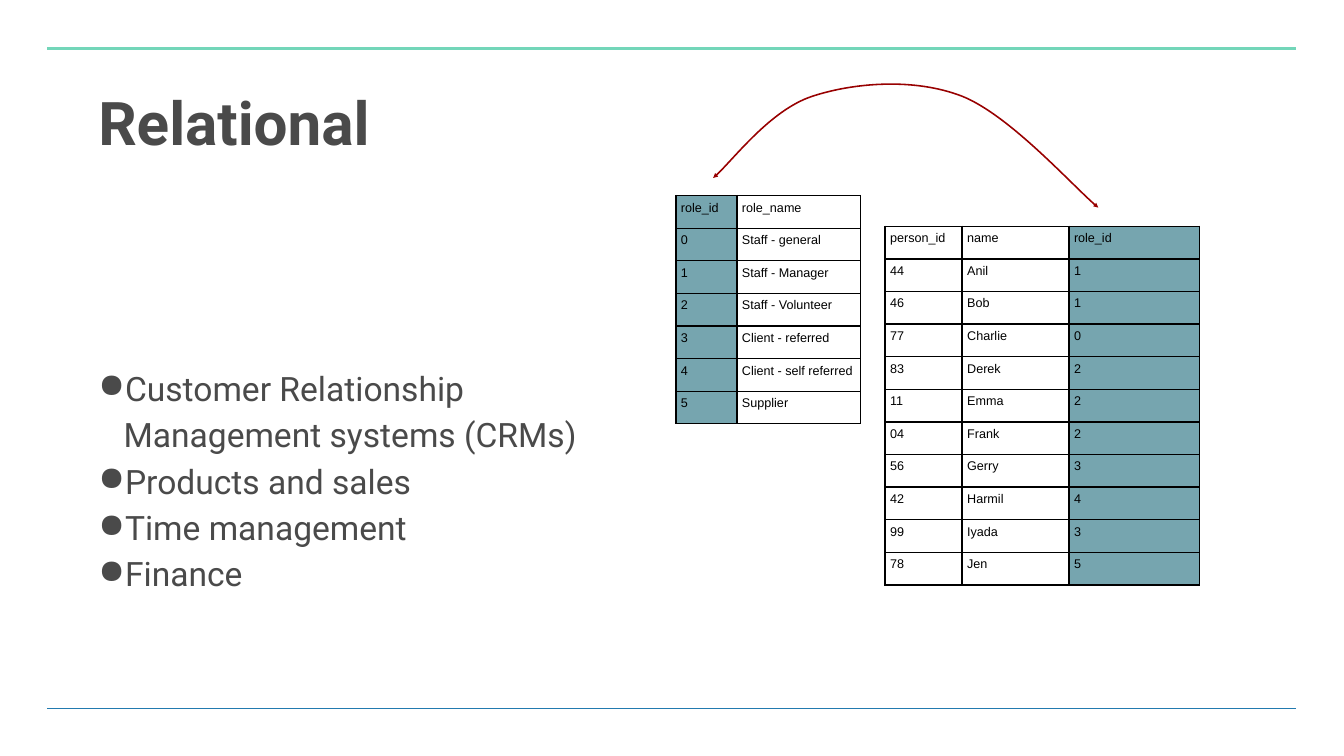
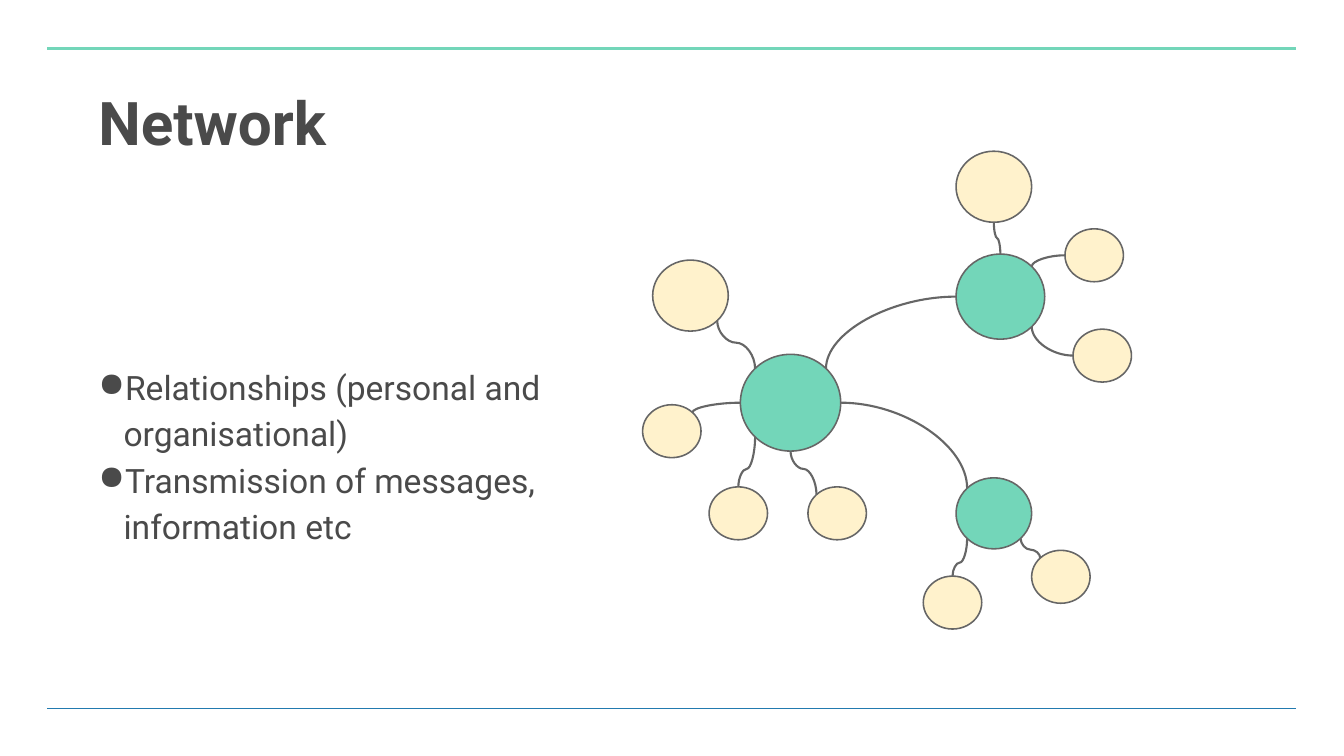
import math

import lxml.etree
import pptx
import pptx.dml.color
import pptx.enum.shapes
import pptx.enum.text
import pptx.oxml.ns
import pptx.util

Pt = pptx.util.Pt
qn = pptx.oxml.ns.qn
SubElement = lxml.etree.SubElement

COLORS = {
    "text": "4A4A4A",
    "green": "73D6B9",
    "blue": "227AAF",
    "key": "76A5AF",
    "arrow": "980000",
    "cream": "FFF2CC",
    "edge": "666666",
    "black": "000000",
}
FONT = "Roboto"


def rgb(name):
    return pptx.dml.color.RGBColor.from_string(COLORS[name])


def style_line(connector, color, width):
    connector.line.color.rgb = rgb(color)
    connector.line.width = Pt(width)
    SubElement(connector.element.spPr, qn("a:effectLst"))


presentation = pptx.Presentation()
presentation.slide_width = Pt(1920)
presentation.slide_height = Pt(1080)

pages = [
    ("Relational", 705, 570, [
        "Customer Relationship Management systems (CRMs)",
        "Products and sales",
        "Time management",
        "Finance",
    ]),
    ("Network", 711, 501, [
        "Relationships (personal and organisational)",
        "Transmission of messages, information etc",
    ]),
]
slides = []
for title, body_width, body_height, bullets in pages:
    slide = presentation.slides.add_slide(presentation.slide_layouts[6])
    slides.append(slide)
    for y, color, width in [(69.8, "green", 4), (1012.3, "blue", 1)]:
        rule = slide.shapes.add_connector(
            pptx.enum.shapes.MSO_CONNECTOR.STRAIGHT, Pt(67.7), Pt(y), Pt(1851.8), Pt(y))
        style_line(rule, color, width)

    title_box = slide.shapes.add_textbox(Pt(136), Pt(136.8), Pt(1648), Pt(260))
    body_box = slide.shapes.add_textbox(Pt(136), Pt(397.4), Pt(body_width), Pt(body_height))
    for box, lines, size, spacing in [(title_box, [title], 86, 0.8), (body_box, bullets, 48, 1.15)]:
        frame = box.text_frame
        frame.word_wrap = True
        frame.margin_left = frame.margin_right = Pt(4.5)
        frame.margin_top = frame.margin_bottom = Pt(4.5)
        for index, line in enumerate(lines):
            paragraph = frame.paragraphs[0] if index == 0 else frame.add_paragraph()
            if box is body_box:
                properties = paragraph._p.get_or_add_pPr()
                properties.set("marL", str(Pt(36)))
                properties.set("indent", str(Pt(-42)))
                bullet_color = SubElement(properties, qn("a:buClr"))
                SubElement(bullet_color, qn("a:srgbClr"), val=COLORS["text"])
                SubElement(properties, qn("a:buChar"), char="●")
            paragraph.line_spacing = spacing
            run = paragraph.add_run()
            run.text = line
            run.font.name = FONT
            run.font.size = Pt(size)
            run.font.bold = box is title_box
            run.font.color.rgb = rgb("text")
    body_box.text_frame.vertical_anchor = pptx.enum.text.MSO_ANCHOR.MIDDLE

relational, network = slides

roles = [
    ("role_id", "role_name"),
    ("0", "Staff - general"),
    ("1", "Staff - Manager"),
    ("2", "Staff - Volunteer"),
    ("3", "Client - referred"),
    ("4", "Client - self referred"),
    ("5", "Supplier"),
]
people = [
    ("person_id", "name", "role_id"),
    ("44", "Anil", "1"),
    ("46", "Bob", "1"),
    ("77", "Charlie", "0"),
    ("83", "Derek", "2"),
    ("11", "Emma", "2"),
    ("04", "Frank", "2"),
    ("56", "Gerry", "3"),
    ("42", "Harmil", "4"),
    ("99", "Iyada", "3"),
    ("78", "Jen", "5"),
]
row_height = 46.6
for records, left, top, widths in [
    (roles, 965.5, 279.4, [87.3, 176.4]),
    (people, 1264.3, 323.3, [110.2, 152.6, 186.5]),
]:
    table = relational.shapes.add_table(
        len(records), len(widths), Pt(left), Pt(top),
        Pt(sum(widths)), Pt(row_height * len(records))).table
    table.first_row = False
    table.horz_banding = False
    for column, width in zip(table.columns, widths):
        column.width = Pt(width)
    key_column = records[0].index("role_id")
    for row_index, record in enumerate(records):
        table.rows[row_index].height = Pt(row_height)
        for column_index, value in enumerate(record):
            cell = table.cell(row_index, column_index)
            cell.margin_left = cell.margin_right = Pt(7.2)
            cell.margin_top = cell.margin_bottom = Pt(7.2)
            if column_index == key_column:
                cell.fill.solid()
                cell.fill.fore_color.rgb = rgb("key")
            else:
                cell.fill.background()
            run = cell.text_frame.paragraphs[0].add_run()
            run.text = value
            run.font.name = "Arial"
            run.font.size = Pt(18)
            run.font.color.rgb = rgb("black")
            cell_properties = cell._tc.get_or_add_tcPr()
            for position, side in enumerate(["lnL", "lnR", "lnT", "lnB"]):
                border = lxml.etree.Element(qn("a:" + side), w=str(Pt(2.25)))
                border_fill = SubElement(border, qn("a:solidFill"))
                SubElement(border_fill, qn("a:srgbClr"), val=COLORS["black"])
                cell_properties.insert(position, border)

arc_points = [
    (1018.8, 254.2),
    (1042.6, 234.7), (1100.9, 157), (1160.6, 137.5),
    (1219.7, 118.1), (1306.1, 110.9), (1374.5, 137.5),
    (1441.4, 164.2), (1536.5, 270), (1569, 296.6),
]
arc_points = [(Pt(x), Pt(y)) for x, y in arc_points]
builder = relational.shapes.build_freeform(*arc_points[0])
builder.add_line_segments(arc_points[1:], close=False)
arc = builder.convert_to_shape()
arc.shadow.inherit = False
arc.fill.background()
arc.line.color.rgb = rgb("arrow")
arc.line.width = Pt(2.25)
outline = arc.element.spPr.find(qn("a:ln"))
for end in ["headEnd", "tailEnd"]:
    SubElement(outline, qn("a:" + end), type="triangle")
curve = next(arc.element.iter(qn("a:path")))
segments = curve.findall(qn("a:lnTo"))
for start in range(0, len(segments), 3):
    bezier = SubElement(curve, qn("a:cubicBezTo"))
    for segment in segments[start:start + 3]:
        bezier.append(segment[0])
        curve.remove(segment)

sizes = {"small": (83.5, 75.6), "medium": (108, 101.5), "large": (126.7, 121.7), "hub": (143.3, 138.2)}
nodes = {
    "west_top": (932.4, 371.5, "medium", "cream"),
    "west": (918, 578.2, "small", "cream"),
    "centre": (1057.7, 506.2, "hub", "green"),
    "north_top": (1365.8, 216, "medium", "cream"),
    "south": (1365.8, 682.6, "medium", "green"),
    "centre_left": (1013, 695.5, "small", "cream"),
    "centre_right": (1154.2, 695.5, "small", "cream"),
    "north_upper": (1521.4, 326.9, "small", "cream"),
    "north": (1365.8, 362.9, "large", "green"),
    "south_left": (1319, 823, "small", "cream"),
    "south_right": (1473.8, 786.2, "small", "cream"),
    "north_lower": (1532.9, 470.2, "small", "cream"),
}
circles = {}
for name, (left, top, size, color) in nodes.items():
    width, height = sizes[size]
    circle = network.shapes.add_shape(
        pptx.enum.shapes.MSO_SHAPE.OVAL, Pt(left), Pt(top), Pt(width), Pt(height))
    circle.shadow.inherit = False
    circle.fill.solid()
    circle.fill.fore_color.rgb = rgb(color)
    circle.line.color.rgb = rgb("edge")
    circle.line.width = Pt(2.25)
    circles[name] = circle

TOP, TOP_LEFT, LEFT, BOTTOM_LEFT, BOTTOM, BOTTOM_RIGHT, RIGHT, TOP_RIGHT = range(8)
links = [
    ("centre", TOP_LEFT, "west_top", BOTTOM_RIGHT, 0.54),
    ("centre", LEFT, "west", TOP_RIGHT, None),
    ("centre", BOTTOM, "centre_right", TOP_LEFT, 0.41),
    ("centre", BOTTOM_LEFT, "centre_left", TOP, 0.64),
    ("north", TOP, "north_top", BOTTOM, 0.5),
    ("north", TOP_RIGHT, "north_upper", LEFT, None),
    ("north", BOTTOM_RIGHT, "north_lower", LEFT, None),
    ("south", BOTTOM_LEFT, "south_left", TOP, 0.64),
    ("south", BOTTOM_RIGHT, "south_right", TOP_LEFT, 0.57),
    ("centre", TOP_RIGHT, "north", LEFT, None),
    ("centre", RIGHT, "south", TOP_LEFT, None),
]
for begin, begin_site, end, end_site, bend in links:
    ends = []
    for name, site in [(begin, begin_site), (end, end_site)]:
        circle = circles[name]
        angle = math.radians(90 + 45 * site)
        ends.append((circle.left + circle.width / 2 * (1 + math.cos(angle)),
                     circle.top + circle.height / 2 * (1 - math.sin(angle))))
    (x1, y1), (x2, y2) = ends
    width, height = abs(x2 - x1), abs(y2 - y1)
    rotation, flipped = 0, x2 < x1
    if begin_site not in (LEFT, RIGHT):
        width, height = height, width
        rotation = 90 if x2 < x1 else 270
        flipped = (x2 < x1) == (y2 < y1)
    left, top = (x1 + x2 - width) / 2, (y1 + y2 - height) / 2
    connector = network.shapes.add_connector(
        pptx.enum.shapes.MSO_CONNECTOR.CURVE,
        int(left), int(top), int(left + width), int(top + height))
    style_line(connector, "edge", 3)
    transform = connector.element.spPr.find(qn("a:xfrm"))
    transform.set("rot", str(rotation * 60000))
    transform.set("flipH", str(int(flipped)))
    geometry = connector.element.spPr.find(qn("a:prstGeom"))
    if bend is None:
        geometry.set("prst", "curvedConnector2")
    else:
        SubElement(geometry.find(qn("a:avLst")), qn("a:gd"),
                   name="adj1", fmla=f"val {round(bend * 100000)}")
    joints = next(connector.element.iter(qn("p:cNvCxnSpPr")))
    for tag, name, site in [("a:stCxn", begin, begin_site), ("a:endCxn", end, end_site)]:
        SubElement(joints, qn(tag), id=str(circles[name].shape_id), idx=str(site))

presentation.save("out.pptx")
